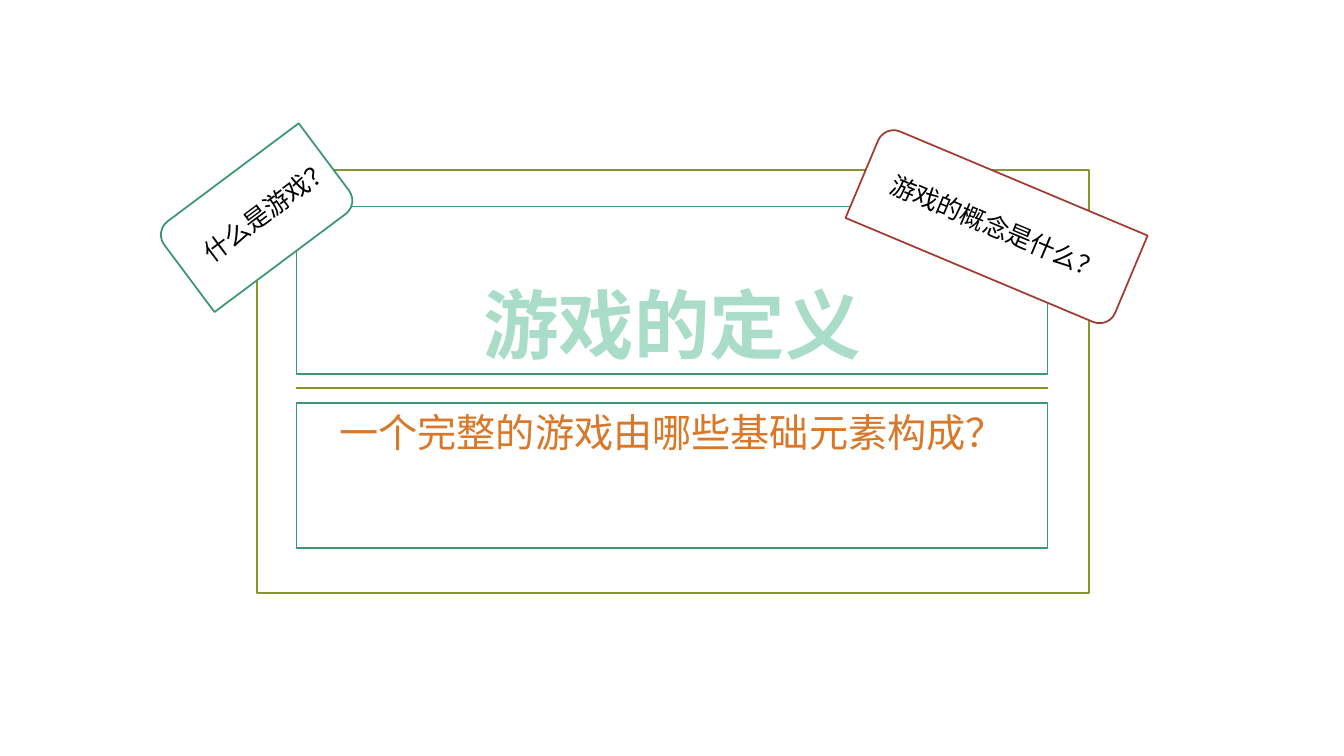
"""Build a slide that asks what a game is and what it is made of."""
from lxml import etree
from pptx import Presentation
from pptx.dml.color import RGBColor
from pptx.enum.shapes import MSO_CONNECTOR, MSO_SHAPE
from pptx.enum.text import MSO_ANCHOR, PP_ALIGN
from pptx.oxml.ns import qn
from pptx.util import Inches, Pt

RECTANGLE, TAG = MSO_SHAPE.RECTANGLE, MSO_SHAPE.ROUND_2_DIAG_RECTANGLE
STRAIGHT = MSO_CONNECTOR.STRAIGHT
TOP, MIDDLE, BOTTOM = MSO_ANCHOR.TOP, MSO_ANCHOR.MIDDLE, MSO_ANCHOR.BOTTOM
CENTER = PP_ALIGN.CENTER
OLIVE, GREEN, RED = "83992A", "3C9770", "A23C33"
WHITE, BLACK, MINT, ORANGE = "FFFFFF", "000000", "A9DDC7", "D97828"
LINE_WIDTH = Pt(1.25)

deck = Presentation()
deck.slide_width, deck.slide_height = Inches(13.33), Inches(7.5)
page = deck.slides.add_slide(deck.slide_layouts[6])
column, row = deck.slide_width / 100, deck.slide_height / 100
panel_left, panel_width, divider_top = 22.06, 55.89, 51.33


def paint(color_format, color):
    """Set a fill or line to one solid colour."""
    color_format.solid()
    color_format.fore_color.rgb = RGBColor.from_string(color)


def add_box(kind, area, edge):
    """Add an outlined shape whose area is given in percent of the slide."""
    left, top, width, height = area
    box = page.shapes.add_shape(kind, int(left * column), int(top * row),
                                int(width * column), int(height * row))
    box.shadow.inherit = False
    box.line.width = LINE_WIDTH
    paint(box.line.fill, edge)
    return box


frame = add_box(RECTANGLE, (19.13, 22.53, 61.89, 55.87), OLIVE)
frame.fill.background()

divider = page.shapes.add_connector(
    STRAIGHT, int(panel_left * column), int(divider_top * row),
    int((panel_left + panel_width) * column), int(divider_top * row))
divider.line.width = LINE_WIDTH
paint(divider.line.fill, OLIVE)
etree.SubElement(divider.element.spPr, qn("a:effectLst"))

title_area = (panel_left, 27.33, panel_width, 22.13)
question_area = (panel_left, 53.33, panel_width, 19.2)
cards = [
    ("游戏的定义", RECTANGLE, title_area, 0, GREEN, BOTTOM, MINT,
     {"size": Pt(54), "bold": True}, {}),
    ("一个完整的游戏由哪些基础元素构成？", RECTANGLE, question_area, 0, GREEN, TOP, ORANGE,
     {"size": Pt(28)}, {"space_before": Pt(5.6), "space_after": Pt(6)}),
    ("什么是游戏？", TAG, (12.38, 22.13, 13.43, 13.33), 323.2, GREEN, MIDDLE, BLACK,
     {"size": Pt(18)}, {}),
    ("游戏的概念是什么？", TAG, (63.54, 23.33, 21.23, 13.33), 22.8, RED, MIDDLE, BLACK,
     {"size": Pt(18)}, {}),
]
spans = {}
for words, kind, area, angle, edge, anchor, ink, font_format, spacing in cards:
    box = add_box(kind, area, edge)
    box.rotation = angle
    paint(box.fill, WHITE)
    box.text_frame.word_wrap = True
    box.text_frame.vertical_anchor = anchor
    para = box.text_frame.paragraphs[0]
    for name, value in {"alignment": CENTER, **spacing}.items():
        setattr(para, name, value)
    span = para.add_run()
    span.text = words
    for name, value in {"name": "Arial", **font_format}.items():
        setattr(span.font, name, value)
    paint(span.font.fill, ink)
    spans[words] = span

title_font = spans["游戏的定义"].font._element
outline = etree.Element(qn("a:ln"), w=str(Pt(1.75)))
outline_fill = etree.SubElement(outline, qn("a:solidFill"))
etree.SubElement(outline_fill, qn("a:srgbClr"), val=GREEN)
title_font.insert(0, outline)

deck.save("out.pptx")
